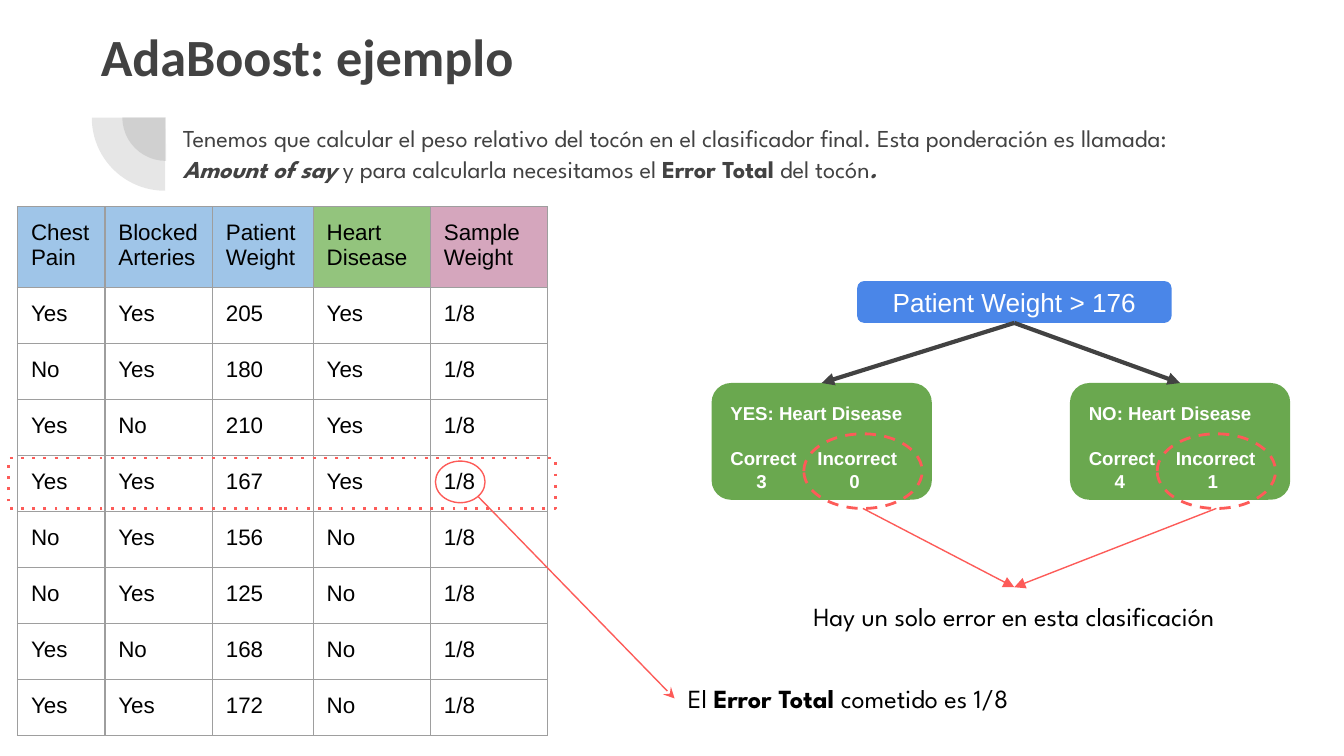
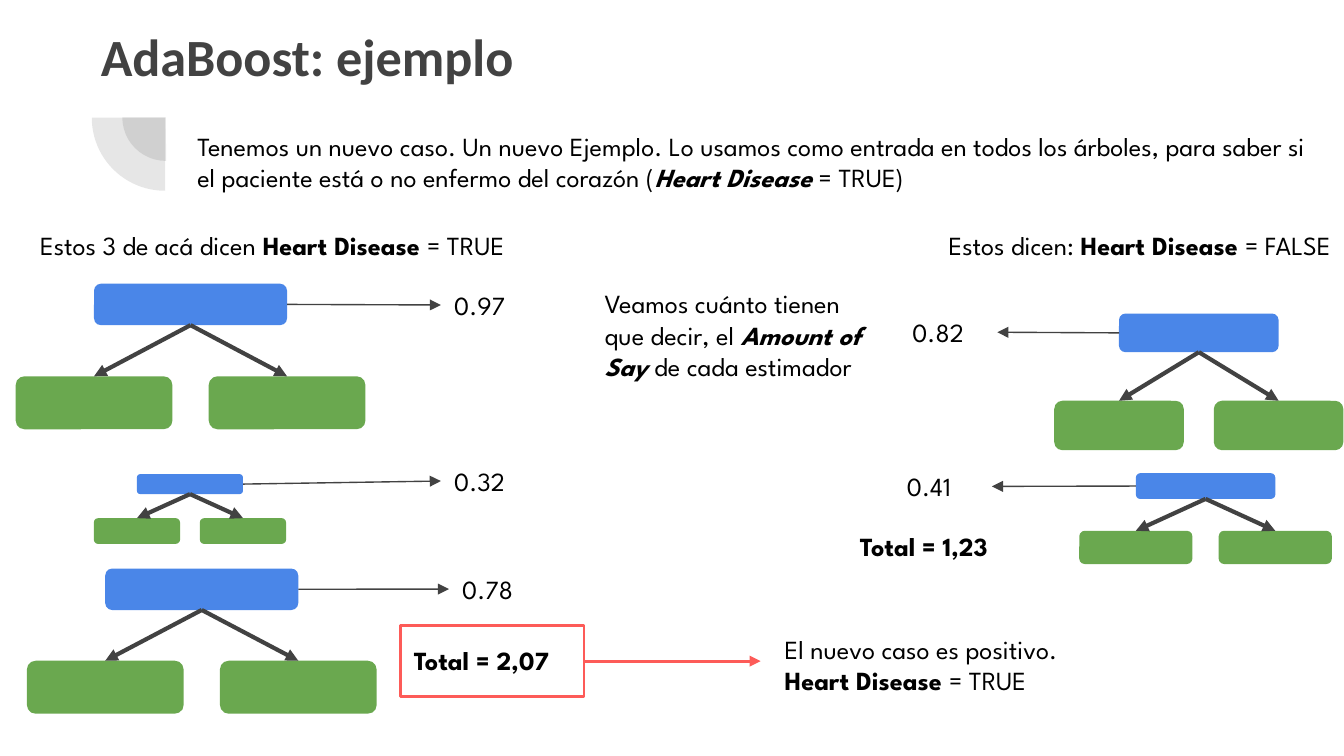
from dataclasses import dataclass
from typing import Any, NamedTuple, Optional

import pptx
import pptx.dml.color
import pptx.enum.shapes
import pptx.enum.text
import pptx.oxml.ns
import pptx.util
from lxml import etree

Pt = pptx.util.Pt
qn = pptx.oxml.ns.qn
SHAPES = pptx.enum.shapes.MSO_SHAPE
ALIGN = pptx.enum.text.PP_ALIGN
ANCHOR = pptx.enum.text.MSO_ANCHOR
AUTO_SIZE = pptx.enum.text.MSO_AUTO_SIZE

DARK, BLACK, WHITE = "424242", "000000", "FFFFFF"
BLUE, GREEN, RED, GRAY = "4A86E8", "6AA84F", "FD5B58", "9E9E9E"
FEATURE, TARGET, WEIGHT = "9FC5E8", "93C47D", "D5A6BD"
SPARTAN, ARIAL, CALIBRI = "League Spartan", "Arial", "Calibri"
TOP, LEFT, BOTTOM, RIGHT = range(4)
INSET = 7.2
LABEL_HEIGHT = 31.6


class Box(NamedTuple):
    left: float
    top: float
    width: float
    height: float


class Words(NamedTuple):
    text: str
    bold: bool = False
    italic: bool = False


class Note(NamedTuple):
    box: Box
    lines: tuple[tuple[Words, ...], ...]
    align: Any = ALIGN.LEFT


class Leaf(NamedTuple):
    answer: str
    correct: str
    incorrect: str


@dataclass(frozen=True)
class Stump:
    root: Box
    leaf_top: float
    leaf_width: float
    leaf_height: float
    spread: Optional[float] = None
    shift: float = 0

    def leaf_boxes(self) -> list[Box]:
        center = self.root.left + self.root.width / 2 + self.shift
        half = (self.spread or self.root.width) / 2
        return [Box(center + side * half - self.leaf_width / 2, self.leaf_top,
                    self.leaf_width, self.leaf_height) for side in (-1, 1)]


class Vote(NamedTuple):
    stump: Stump
    amount: str
    label_left: float
    label_top: float


def color(value: str) -> pptx.dml.color.RGBColor:
    return pptx.dml.color.RGBColor.from_string(value)


def points(values: tuple[float, ...]) -> list[int]:
    return [Pt(value) for value in values]


def format_font(font: Any, name: str, size: float, ink: str,
                bold: bool = False, italic: bool = False) -> None:
    font.name, font.size, font.bold, font.italic = name, Pt(size), bold, italic
    font.color.rgb = color(ink)


def set_margins(target: Any) -> None:
    target.margin_left = target.margin_right = Pt(INSET)
    target.margin_top = target.margin_bottom = Pt(INSET)


def prepare_frame(shape: Any, auto_size: Any = AUTO_SIZE.NONE) -> Any:
    frame = shape.text_frame
    frame.word_wrap = True
    frame.auto_size = auto_size
    frame.vertical_anchor = ANCHOR.TOP
    set_margins(frame)
    return frame


def add_words(paragraph: Any, line: tuple[Words, ...], size: float, ink: str) -> None:
    for words in line:
        run = paragraph.add_run()
        run.text = words.text
        format_font(run.font, SPARTAN, size, ink, words.bold, words.italic)


def place(shape: Any, box: Box) -> None:
    shape.left, shape.top, shape.width, shape.height = points(box)


def draw_outline(shape: Any, ink: str, width: float,
                 dash: str = "", head: str = "") -> None:
    shape.line.color.rgb = color(ink)
    shape.line.width = Pt(width)
    line = shape.element.spPr.find(qn("a:ln"))
    if dash:
        etree.SubElement(line, qn("a:prstDash"), val=dash)
    if head:
        etree.SubElement(line, qn("a:tailEnd"), type=head)


def add_filled(slide: Any, kind: Any, box: Box, fill: str) -> Any:
    shape = slide.shapes.add_shape(kind, *points(box))
    shape.shadow.inherit = False
    shape.fill.solid()
    shape.fill.fore_color.rgb = color(fill)
    shape.line.fill.background()
    return shape


def add_marker(slide: Any, kind: Any, box: Box, width: float, dash: str = "") -> None:
    shape = slide.shapes.add_shape(kind, *points(box))
    shape.shadow.inherit = False
    shape.fill.background()
    draw_outline(shape, RED, width, dash)


def add_arrow(slide: Any, start: tuple[float, float], end: tuple[float, float],
              ink: str, width: float, head: str = "triangle") -> Any:
    straight = pptx.enum.shapes.MSO_CONNECTOR.STRAIGHT
    arrow = slide.shapes.add_connector(straight, *points(start + end))
    draw_outline(arrow, ink, width, head=head)
    etree.SubElement(arrow.element.spPr, qn("a:effectLst"))
    return arrow


def join(slide: Any, source: Any, source_side: int, target: Any, target_side: int,
         width: float) -> None:
    arrow = add_arrow(slide, (0, 0), (0, 0), DARK, width)
    arrow.begin_connect(source, source_side)
    arrow.end_connect(target, target_side)


def add_note(slide: Any, note: Note) -> Any:
    shape = slide.shapes.add_textbox(*points(note.box))
    frame = prepare_frame(shape, AUTO_SIZE.SHAPE_TO_FIT_TEXT)
    for index, line in enumerate(note.lines):
        paragraph = frame.add_paragraph() if index else frame.paragraphs[0]
        paragraph.alignment = note.align
        add_words(paragraph, line, 14, BLACK)
    return shape


def add_stump(slide: Any, stump: Stump) -> tuple[Any, list[Any]]:
    root = add_filled(slide, SHAPES.ROUNDED_RECTANGLE, stump.root, BLUE)
    leaves = [add_filled(slide, SHAPES.ROUNDED_RECTANGLE, box, GREEN)
              for box in stump.leaf_boxes()]
    for leaf in leaves:
        join(slide, root, BOTTOM, leaf, TOP, 2.25)
    return root, leaves


def add_vote(slide: Any, vote: Vote) -> None:
    root, _ = add_stump(slide, vote.stump)
    box = Box(vote.label_left, vote.label_top, 52.6, LABEL_HEIGHT)
    label = add_note(slide, Note(box, ((Words(vote.amount),),)))
    sides = (RIGHT, LEFT) if box.left > vote.stump.root.left else (LEFT, RIGHT)
    join(slide, root, sides[0], label, sides[1], 0.75)


def set_tabs(paragraph: Any, kind: str, positions: tuple[float, ...]) -> None:
    tabs = etree.SubElement(paragraph._p.get_or_add_pPr(), qn("a:tabLst"))
    for position in positions:
        etree.SubElement(tabs, qn("a:tab"), pos=str(Pt(position)), algn=kind)


def write_leaf(shape: Any, leaf: Leaf) -> None:
    frame = prepare_frame(shape)
    frame.text = (f"{leaf.answer}: Heart Disease\nCorrect\tIncorrect\n"
                  f"\t{leaf.correct}\t{leaf.incorrect}")
    _, heading, counts = frame.paragraphs
    set_tabs(heading, "l", (46.6,))
    set_tabs(counts, "ctr", (16.6, 66.4))
    heading.space_before = Pt(12)
    for paragraph in frame.paragraphs:
        paragraph.alignment = ALIGN.LEFT
        for run in paragraph.runs:
            format_font(run.font, ARIAL, 10, WHITE, bold=True)
            run.font.underline = paragraph is heading


def write_root(shape: Any, text: str) -> None:
    frame = prepare_frame(shape)
    frame.vertical_anchor = ANCHOR.MIDDLE
    frame.text = text
    frame.paragraphs[0].alignment = ALIGN.CENTER
    format_font(frame.paragraphs[0].runs[0].font, ARIAL, 14, WHITE)


def add_patients(slide: Any) -> None:
    headers = (("Chest Pain", FEATURE), ("Blocked Arteries", FEATURE),
               ("Patient Weight", FEATURE), ("Heart Disease", TARGET),
               ("Sample Weight", WEIGHT))
    patients = (("Yes", "Yes", "205", "Yes"), ("No", "Yes", "180", "Yes"),
                ("Yes", "No", "210", "Yes"), ("Yes", "Yes", "167", "Yes"),
                ("No", "Yes", "156", "No"), ("No", "Yes", "125", "No"),
                ("Yes", "No", "168", "No"), ("Yes", "Yes", "172", "No"))
    rows = [headers] + [[(text, "") for text in patient + ("1/8",)] for patient in patients]
    widths = (46.8, 57.6, 54, 62.8, 62.8)
    heights = [42.8] + [30] * len(patients)
    box = Box(9.4, 110.8, sum(widths), sum(heights))
    table = slide.shapes.add_table(len(rows), len(widths), *points(box)).table
    table.first_row = table.horz_banding = False
    for column, width in zip(table.columns, widths):
        column.width = Pt(width)
    for row, height, values in zip(table.rows, heights, rows):
        row.height = Pt(height)
        for cell, (text, fill) in zip(row.cells, values):
            write_cell(cell, text, fill)


def write_cell(cell: Any, text: str, fill: str) -> None:
    cell.text = text
    set_margins(cell)
    format_font(cell.text_frame.paragraphs[0].runs[0].font, ARIAL, 12, BLACK)
    properties = cell._tc.get_or_add_tcPr()
    for side in ("a:lnL", "a:lnR", "a:lnT", "a:lnB"):
        border = etree.SubElement(properties, qn(side), w=str(Pt(0.75)))
        solid = etree.SubElement(border, qn("a:solidFill"))
        etree.SubElement(solid, qn("a:srgbClr"), val=GRAY)
    if fill:
        cell.fill.solid()
        cell.fill.fore_color.rgb = color(fill)
    else:
        cell.fill.background()


def add_master_arcs(presentation: Any, slide: Any) -> None:
    for box in (Box(65.5, 39.4, 46.8, 46.8), Box(49.2, 23.8, 78.4, 78.4)):
        arc = add_filled(slide, SHAPES.PIE, box, DARK)
        arc.rotation = 270
        arc.adjustments[0], arc.adjustments[1] = 107.93, 162
        tint = next(arc.element.iter(qn("a:srgbClr")))
        etree.SubElement(tint, qn("a:alpha"), val="13000")
        presentation.slide_master.shapes.element.append(arc.element)


def start_slide(presentation: Any, layout: int, title_width: float) -> Any:
    slide = presentation.slides.add_slide(presentation.slide_layouts[layout])
    title = slide.shapes.title
    place(title, Box(46.8, 5.8, title_width, 78.5))
    frame = prepare_frame(title)
    frame.text = "AdaBoost: ejemplo"
    frame.paragraphs[0].alignment = ALIGN.LEFT
    format_font(frame.paragraphs[0].runs[0].font, CALIBRI, 28, DARK, bold=True)
    return slide


def build_error_slide(presentation: Any) -> None:
    slide = start_slide(presentation, 1, 553.7)
    add_master_arcs(presentation, slide)
    body = slide.placeholders[1]
    place(body, Box(90.7, 58.3, 578.9, 47.5))
    paragraph = prepare_frame(body).paragraphs[0]
    properties = paragraph._p.get_or_add_pPr()
    properties.set("marL", "0")
    properties.set("indent", "0")
    etree.SubElement(properties, qn("a:buNone"))
    paragraph.line_spacing, paragraph.space_before, paragraph.space_after = 1.05, Pt(0), Pt(12)
    add_words(paragraph, (
        Words("Tenemos que calcular el peso relativo del tocón en el clasificador final. "
              "Esta ponderación es llamada: "),
        Words("Amount of say ", True, True), Words("y para calcularla necesitamos el "),
        Words("Error Total ", True), Words("del tocón"), Words(".", True, True)), 13, DARK)

    root, leaves = add_stump(slide, Stump(Box(459.2, 150.6, 168.4, 22.4),
                                          205.2, 118, 62.6, 192, -7.2))
    write_root(root, "Patient Weight > 176")
    for shape, leaf in zip(leaves, (Leaf("YES", "3", "0"), Leaf("NO", "4", "1"))):
        write_leaf(shape, leaf)
    for left in (430.6, 619.9):
        add_marker(slide, SHAPES.OVAL, Box(left, 232.4, 63.4, 40), 1.5, "dash")
        add_arrow(slide, (left + 31.7, 272.4), (543.4, 314.6), RED, 0.75)
    add_note(slide, Note(Box(414, 314.6, 258.5, LABEL_HEIGHT),
                         ((Words("Hay un solo error en esta clasificación"),),), ALIGN.CENTER))
    add_patients(slide)
    add_marker(slide, SHAPES.RECTANGLE, Box(4.5, 245.4, 293, 27), 1.5, "dot")
    add_marker(slide, SHAPES.OVAL, Box(233.3, 247, 26.6, 22.3), 0.75)
    add_arrow(slide, (256.3, 266.2), (361.4, 374.2), RED, 0.75, "stealth")
    add_note(slide, Note(Box(361.4, 358.6, 205.2, LABEL_HEIGHT), (
        (Words("El "), Words("Error Total", True), Words(" cometido es 1/8")),)))


def build_vote_slide(presentation: Any) -> None:
    slide = start_slide(presentation, 5, 298.8)
    disease = Words("Heart Disease ", True)
    votes = (
        Vote(Stump(Box(50.4, 152, 103.4, 22.2), 201.6, 84, 28.4), "0.97", 236.2, 147.6),
        Vote(Stump(Box(73.4, 254, 56.8, 10.7), 277.6, 46.2, 13.8), "0.32", 236.2, 241.9),
        Vote(Stump(Box(56.4, 304.6, 103.4, 22.2), 354, 84, 28.4), "0.78", 240.5, 299.8),
        Vote(Stump(Box(599.5, 168, 85.5, 20.7), 214.7, 69.4, 26.5), "0.82", 481.7, 162.2),
        Vote(Stump(Box(608.5, 253.5, 74.7, 13.8), 284.4, 60.6, 17.8), "0.41", 478.8, 244.8),
    )
    for vote in votes:
        add_vote(slide, vote)
    notes = (
        Note(Box(98.6, 62.6, 611.3, 48.2), ((
            Words("Tenemos un nuevo caso. Un nuevo Ejemplo. Lo usamos como entrada en todos "
                  "los árboles, para saber si el paciente está o no enfermo del corazón ("),
            Words("Heart Disease", True, True), Words(" = TRUE)")),)),
        Note(Box(14.4, 115.9, 314.6, LABEL_HEIGHT),
             ((Words("Estos 3 de acá dicen "), disease, Words("= TRUE")),)),
        Note(Box(460, 115.9, 260, LABEL_HEIGHT),
             ((Words("Estos dicen: "), disease, Words("= FALSE")),), ALIGN.RIGHT),
        Note(Box(316.8, 146.9, 154, 82), ((
            Words("Veamos cuánto tienen que decir, el "),
            Words("Amount of Say ", True, True), Words("de cada estimador")),)),
        Note(Box(214.6, 337.8, 103.7, LABEL_HEIGHT), ((Words("Total = 2,07", True),),)),
        Note(Box(453.6, 277.2, 103.7, LABEL_HEIGHT), ((Words("Total = 1,23", True),),)),
        Note(Box(413.3, 332, 234.7, 48.2), (
            (Words("El nuevo caso es positivo."),), (disease, Words("= TRUE")))),
    )
    for note in notes:
        add_note(slide, note)
    add_marker(slide, SHAPES.RECTANGLE, Box(214.6, 335, 98.3, 38.2), 1.5)
    add_arrow(slide, (312.9, 354.2), (407.5, 354.2), RED, 1.5)


def main() -> None:
    presentation = pptx.Presentation()
    presentation.slide_width, presentation.slide_height = Pt(720), Pt(405)
    build_error_slide(presentation)
    build_vote_slide(presentation)
    presentation.save("out.pptx")


if __name__ == "__main__":
    main()
